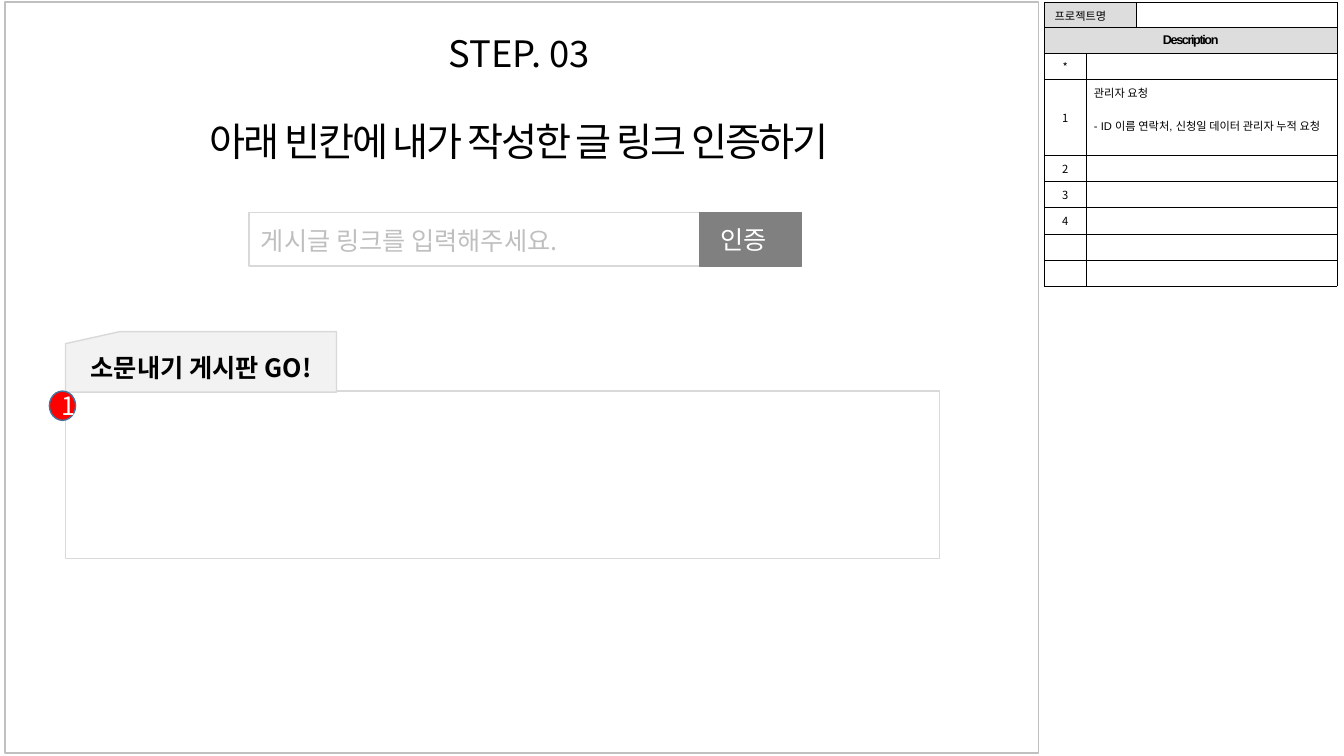
from collections import namedtuple
from lxml import etree
from pptx import Presentation
from pptx.dml.color import RGBColor
from pptx.enum.shapes import MSO_SHAPE
from pptx.enum.text import MSO_ANCHOR, PP_ALIGN
from pptx.oxml.ns import qn
from pptx.util import Inches, Pt

COLORS = {
    "black": "000000", "white": "FFFFFF", "frame": "C0C0C0", "outline": "D9D9D9",
    "tab": "F2F2F2", "header": "DDDDDD", "hint": "BFBFBF", "button": "808080",
    "marker": "FF0000", "marker_edge": "43739E",
}
KOREAN, LATIN = "Noto Sans CJK KR", "Arial"
Box = namedtuple("Box", "left top width height")


def rgb(name):
    return RGBColor.from_string(COLORS[name])


def inches(box):
    return [Inches(length) for length in box]


def write(frame, text, size=18, font=KOREAN, color="black", bold=False,
          spacing=0, align=PP_ALIGN.LEFT, before=0, more=False):
    """Fill the first paragraph of a text frame, or with more=True add another."""
    paragraph = frame.add_paragraph() if more else frame.paragraphs[0]
    paragraph.alignment = align
    paragraph.space_before = Pt(before)
    if not text:
        etree.SubElement(paragraph._p, qn("a:endParaRPr")).set("sz", str(size * 100))
        return
    run = paragraph.add_run()
    run.text = text
    run.font.size, run.font.name, run.font.bold = Pt(size), font, bold
    run.font.color.rgb = rgb(color)
    properties = run.font._element
    properties.set("spc", str(int(spacing * 100)))
    properties.set("kern", "0")
    etree.SubElement(properties, qn("a:ea")).set("typeface", KOREAN)


def add_text(slide, box):
    frame = slide.shapes.add_textbox(*inches(box)).text_frame
    frame.word_wrap = True
    return frame


def add_block(slide, box, line, fill=None, kind=MSO_SHAPE.RECTANGLE):
    block = slide.shapes.add_shape(kind, *inches(box))
    block.shadow.inherit = False
    block.line.color.rgb = rgb(line)
    block.line.width = Pt(1)
    if fill:
        block.fill.solid()
        block.fill.fore_color.rgb = rgb(fill)
    else:
        block.fill.background()
    block.text_frame.vertical_anchor = MSO_ANCHOR.MIDDLE
    return block.text_frame


def add_heading(slide, box):
    heading = add_text(slide, box)
    write(heading, "STEP. 03", size=26, align=PP_ALIGN.CENTER)
    write(heading, "아래 빈칸에 내가 작성한 글 링크 인증하기", size=28, font=LATIN,
          spacing=-1.5, align=PP_ALIGN.CENTER, before=30, more=True)


def add_link_form(slide, box):
    left, top, width, height = box
    field = width * 0.815
    add_block(slide, Box(left, top, field, height), "outline")
    hint = add_text(slide, Box(left + 0.02, top + 0.08, field - 0.36, 0.4))
    write(hint, "게시글 링크를 입력해주세요.", color="hint")
    add_block(slide, Box(left + field, top, width - field, height), "button", "button")
    button = add_text(slide, Box(left + field + 0.11, top + 0.07, 1, 0.4))
    write(button, "인증", color="white")


def add_board(slide, box):
    """Draw the board with its tab above and its numbered marker at the corner."""
    left, top, width, height = box
    add_block(slide, box, "outline")
    tab = add_block(slide, Box(left, top - 0.59, width * 0.31, 0.6), "outline", "tab",
                    MSO_SHAPE.FLOWCHART_CARD)
    write(tab, "소문내기 게시판 GO!", bold=True, align=PP_ALIGN.CENTER)
    marker = add_block(slide, Box(left - 0.16, top, 0.26, 0.29), "marker_edge", "marker",
                       MSO_SHAPE.OVAL)
    write(marker, "1", color="white", align=PP_ALIGN.CENTER)


def style_cell(cell, fill):
    cell.fill.solid()
    cell.fill.fore_color.rgb = rgb(fill)
    cell.vertical_anchor = MSO_ANCHOR.MIDDLE
    properties = cell._tc.get_or_add_tcPr()
    for position, side in enumerate(("lnL", "lnR", "lnT", "lnB")):
        border = etree.Element(qn(f"a:{side}"), w=str(Pt(0.25)))
        solid = etree.SubElement(border, qn("a:solidFill"))
        etree.SubElement(solid, qn("a:srgbClr")).set("val", COLORS["black"])
        properties.insert(position, border)


def set_margins(cell, side):
    cell.margin_left = cell.margin_right = Inches(side)


def add_description(slide, box):
    labels = ["*", "1", "2", "3", "4", "", ""]
    columns = [0.41, 0.5, box.width - 0.91]
    rows = [0.25] + [0.26] * (len(labels) + 1)
    note_row = 2 + labels.index("1")
    rows[note_row] = box.height - sum(rows) + rows[note_row]
    table = slide.shapes.add_table(len(rows), len(columns), *inches(box)).table
    for column, width in zip(table.columns, columns):
        column.width = Inches(width)
    for index, (row, height) in enumerate(zip(table.rows, rows)):
        row.height = Inches(height)
        for column, cell in enumerate(row.cells):
            shaded = index == 1 or (index == 0 and column < 2)
            style_cell(cell, "header" if shaded else "white")

    project, title = table.cell(0, 0), table.cell(1, 0)
    project.merge(table.cell(0, 1))
    title.merge(table.cell(1, 2))
    write(project.text_frame, "프로젝트명", size=8)
    write(table.cell(0, 2).text_frame, "", size=8)
    write(title.text_frame, "Description", size=9, font=LATIN, bold=True,
          spacing=-1, align=PP_ALIGN.CENTER)

    for index, label in enumerate(labels, start=2):
        number, note = table.cell(index, 0), table.cell(index, 1)
        note.merge(table.cell(index, 2))
        set_margins(number, 0.04)
        set_margins(note, 0.08)
        write(number.text_frame, label, size=8, align=PP_ALIGN.CENTER)
        if index == note_row:
            note.vertical_anchor = MSO_ANCHOR.TOP
            write(note.text_frame, "관리자 요청", size=8, font=LATIN)
            write(note.text_frame, "- ID 이름 연락처, 신청일 데이터 관리자 누적 요청",
                  size=8, font=LATIN, before=11.5, more=True)
        else:
            write(note.text_frame, "", size=8)


def main():
    deck = Presentation()
    deck.slide_width, deck.slide_height = Inches(13.33), Inches(7.5)
    slide = deck.slides.add_slide(deck.slide_layouts[6])
    add_block(slide, Box(0.05, 0.02, 10.25, 7.45), "frame")
    add_heading(slide, Box(0.88, 0.26, 8.54, 1.45))
    add_board(slide, Box(0.65, 3.88, 8.67, 1.66))
    add_description(slide, Box(10.36, 0.02, 2.9, 2.82))
    add_link_form(slide, Box(2.47, 2.11, 5.48, 0.53))
    deck.save("out.pptx")


if __name__ == "__main__":
    main()
